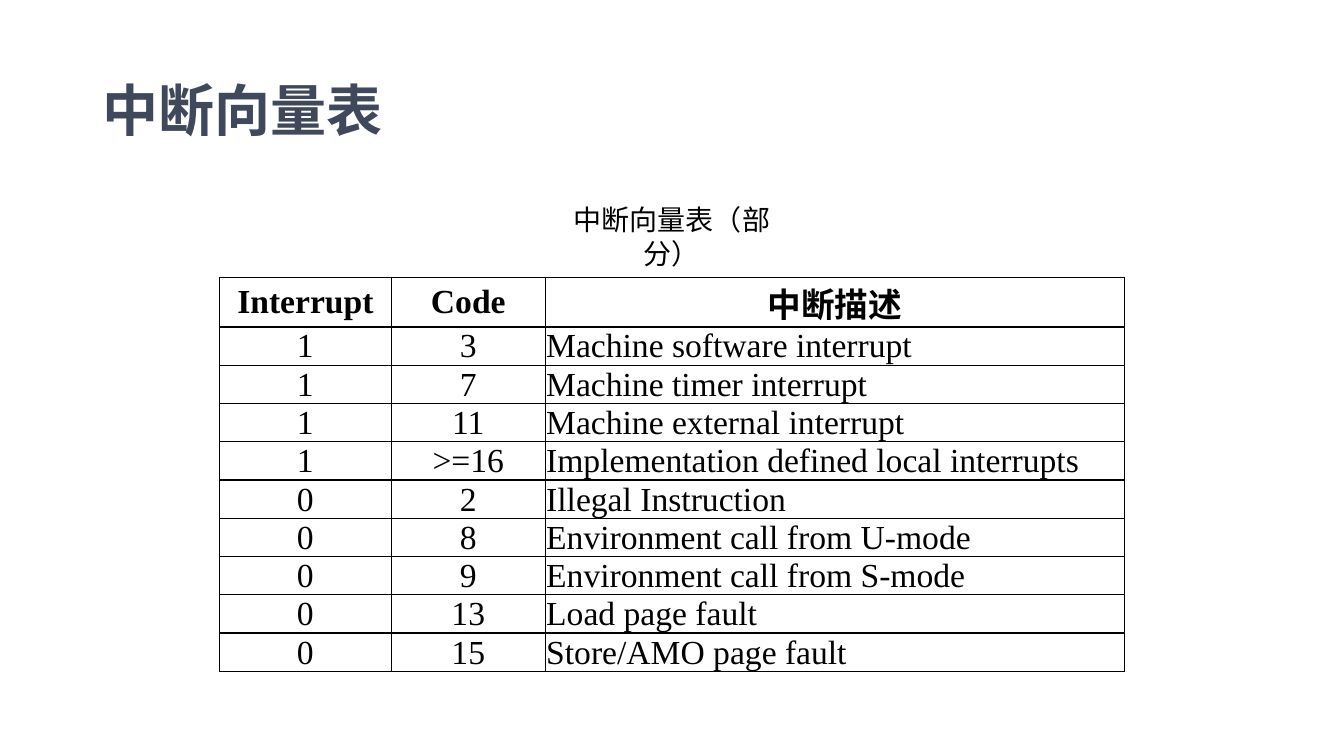
from lxml import etree
from pptx import Presentation
from pptx.dml.color import RGBColor
from pptx.enum.text import MSO_ANCHOR, MSO_AUTO_SIZE, PP_ALIGN
from pptx.oxml.ns import qn
from pptx.util import Emu, Inches, Pt

LEFT, CENTER = PP_ALIGN.LEFT, PP_ALIGN.CENTER
MIDDLE = MSO_ANCHOR.MIDDLE
FIXED, GROW = MSO_AUTO_SIZE.NONE, MSO_AUTO_SIZE.SHAPE_TO_FIT_TEXT

COLORS = {"title": "40485B", "ink": "000000"}
SERIF, SANS, CJK = "Times New Roman", "Arial", "Noto Sans CJK SC"
TITLE_ONLY = 5

COLUMN_SHARES = (0.19, 0.17, 0.64)
HEADER_SHARE = 0.125
HEADINGS = ("Interrupt", "Code", "中断描述")
VECTORS = (
    ("1", "3", "Machine software interrupt"),
    ("1", "7", "Machine timer interrupt"),
    ("1", "11", "Machine external interrupt"),
    ("1", ">=16", "Implementation defined local interrupts"),
    ("0", "2", "Illegal Instruction"),
    ("0", "8", "Environment call from U-mode"),
    ("0", "9", "Environment call from S-mode"),
    ("0", "13", "Load page fault"),
    ("0", "15", "Store/AMO page fault"),
)


def centered_box(deck, top, width, height):
    page_width, page_height = deck.slide_width, deck.slide_height
    return (
        Emu(int(page_width * (100 - width) / 200)),
        Emu(int(page_height * top / 100)),
        Emu(int(page_width * width / 100)),
        Emu(int(page_height * height / 100)),
    )


def format_text(frame, size, font, color, align, bold=False):
    for para in frame.paragraphs:
        para.alignment = align
        for span in para.runs:
            span.font.size = Pt(size)
            span.font.name = font
            span.font.bold = bold
            span.font.color.rgb = RGBColor.from_string(COLORS[color])
            east_asian = etree.Element(qn("a:ea"), typeface=CJK)
            span.font._element.find(qn("a:latin")).addnext(east_asian)


def outline_cell(cell):
    properties = cell._tc.get_or_add_tcPr()
    for index, side in enumerate(("lnL", "lnR", "lnT", "lnB")):
        line = etree.Element(qn(f"a:{side}"), w=str(Pt(1)))
        fill = etree.SubElement(line, qn("a:solidFill"))
        etree.SubElement(fill, qn("a:srgbClr"), val=COLORS["ink"])
        properties.insert(index, line)


def add_title(page, box):
    title = page.shapes.title
    title.left, title.top, title.width, title.height = box
    frame = title.text_frame
    frame.text = "中断向量表"
    frame.auto_size = FIXED
    frame.vertical_anchor = MIDDLE
    frame.paragraphs[0].line_spacing = 0.9
    format_text(frame, 40, SANS, "title", LEFT, bold=True)


def add_caption(page, box):
    frame = page.shapes.add_textbox(*box).text_frame
    frame.text = "中断向量表（部分）"
    frame.word_wrap = True
    frame.auto_size = GROW
    format_text(frame, 20, SERIF, "ink", CENTER)


def add_vector_table(page, box):
    rows = (HEADINGS,) + VECTORS
    width, height = box[2:]
    table = page.shapes.add_table(len(rows), len(HEADINGS), *box).table
    table.horz_banding = False
    for column, share in zip(table.columns, COLUMN_SHARES):
        column.width = Emu(int(width * share))
    for index, texts in enumerate(rows):
        is_header = index == 0
        share = HEADER_SHARE if is_header else (1 - HEADER_SHARE) / len(VECTORS)
        table.rows[index].height = Emu(int(height * share))
        for number, text in enumerate(texts):
            cell = table.cell(index, number)
            cell.text = text
            cell.fill.background()
            cell.vertical_anchor = MIDDLE
            cell.margin_left = cell.margin_right = cell.margin_top = Inches(0.01)
            cell.margin_bottom = 0
            align = CENTER if is_header or number < 2 else LEFT
            font = CJK if is_header and number == 2 else SERIF
            format_text(cell.text_frame, 24, font, "ink", align, is_header)
            outline_cell(cell)


def main():
    deck = Presentation()
    deck.slide_width, deck.slide_height = Inches(13.33), Inches(7.5)
    page = deck.slides.add_slide(deck.slide_layouts[TITLE_ONLY])
    add_title(page, centered_box(deck, 5.33, 86.25, 19.33))
    add_vector_table(page, centered_box(deck, 36.67, 67.35, 52.1))
    add_caption(page, centered_box(deck, 26.13, 19.73, 5.87))
    deck.save("out.pptx")


if __name__ == "__main__":
    main()
